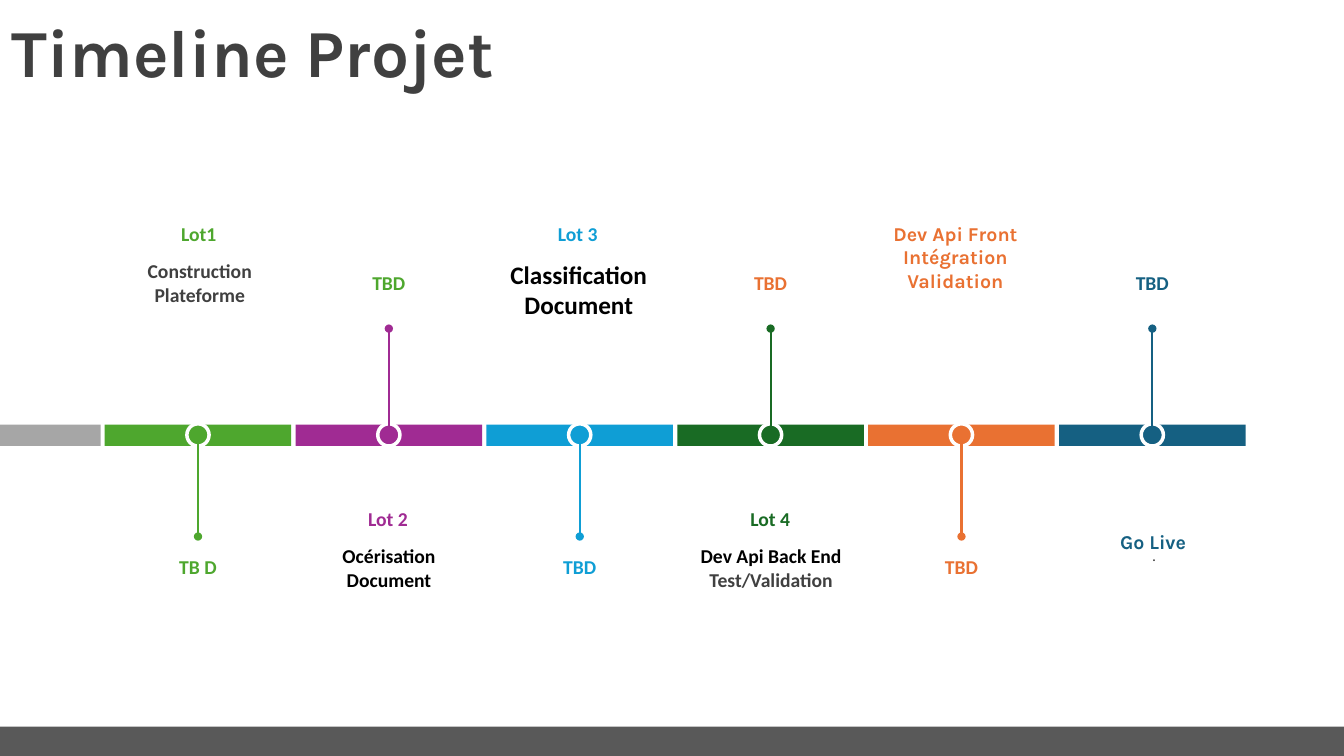
"""Build a project timeline slide with six coloured stages."""
from lxml.etree import SubElement
from pptx import Presentation
from pptx.dml.color import RGBColor
from pptx.enum.shapes import MSO_CONNECTOR, MSO_SHAPE
from pptx.enum.text import MSO_ANCHOR, PP_ALIGN
from pptx.oxml.ns import qn
from pptx.util import Cm, Pt

WHITE = RGBColor(0xFF, 0xFF, 0xFF)
BLACK = RGBColor(0, 0, 0)
DARK = RGBColor(0x40, 0x40, 0x40)
SLATE = RGBColor(0x59, 0x59, 0x59)
GREY = RGBColor(0xA6, 0xA6, 0xA6)
GREEN = RGBColor(0x4E, 0xA7, 0x2E)
PURPLE = RGBColor(0xA0, 0x2B, 0x93)
BLUE = RGBColor(0x0F, 0x9E, 0xD5)
FOREST = RGBColor(0x19, 0x6B, 0x24)
ORANGE = RGBColor(0xE9, 0x71, 0x32)
TEAL = RGBColor(0x15, 0x60, 0x82)
SANS, KARLA = "Calibri", "Karla"

TITLE = "Timeline Projet"
STAGES = [
    {"color": GREEN, "date": ("TB D", GREEN), "left": 2.62, "top": 5.46,
     "font": SANS, "head": ["Lot1"], "size": 14,
     "body": [("Construction Plateforme", DARK)]},
    {"color": PURPLE, "date": ("TBD", GREEN), "left": 7.39, "top": 12.65,
     "font": SANS, "head": ["Lot 2"], "size": 14,
     "body": [("Océrisation Document", BLACK)]},
    {"color": BLUE, "date": ("TBD", BLUE), "left": 12.17, "top": 5.46,
     "font": SANS, "head": ["Lot 3"], "size": 18,
     "body": [("Classification Document", BLACK)]},
    {"color": FOREST, "date": ("TBD", ORANGE), "left": 17.02, "top": 12.65,
     "font": SANS, "head": ["Lot 4"], "size": 14,
     "body": [("Dev Api Back End", BLACK), ("Test/Validation", DARK)]},
    {"color": ORANGE, "date": ("TBD", ORANGE), "left": 21.69, "top": 5.46,
     "font": KARLA, "head": ["Dev Api Front", "Intégration", "Validation"],
     "size": 14, "body": []},
    {"color": TEAL, "date": ("TBD", TEAL), "left": 26.67, "top": 13.23,
     "font": KARLA, "head": ["Go Live"], "size": 12, "body": [(".", DARK)]},
]

START, PITCH, WIDTH = 2.64, 4.81, 4.7
BAR_TOP, BAR_TALL = 10.7, 0.54
MID, DOT, STEM = 10.96, 0.56, 2.52
BODY_TOP = {True: 13.59, False: 6.4}

deck = Presentation()
deck.slide_width, deck.slide_height = Cm(33.87), Cm(19.05)
slide = deck.slides.add_slide(deck.slide_layouts[6])


def draw(kind, left, top, wide, tall, color, edge=None):
    shape = slide.shapes.add_shape(kind, Cm(left), Cm(top), Cm(wide), Cm(tall))
    shape.shadow.inherit = False
    shape.fill.solid()
    shape.fill.fore_color.rgb = color
    if edge is None:
        shape.line.fill.background()
    else:
        shape.line.color.rgb = edge
        shape.line.width = Pt(2.5)


def write(lines, left, top, wide, tall, font=SANS, size=14, bold=True,
          align=PP_ALIGN.CENTER):
    frame = slide.shapes.add_textbox(
        Cm(left), Cm(top), Cm(wide), Cm(tall)).text_frame
    frame.word_wrap = True
    for i, (text, color) in enumerate(lines):
        para = frame.add_paragraph() if i else frame.paragraphs[0]
        para.text = text
        para.alignment = align
        para.font.name, para.font.size = font, Pt(size)
        para.font.bold = bold
        para.font.color.rgb = color
    return frame


def stem(x, start, end, color):
    line = slide.shapes.add_connector(
        MSO_CONNECTOR.STRAIGHT, Cm(x), Cm(start), Cm(x), Cm(end))
    line.line.color.rgb = color
    line.line.width = Pt(1.5)
    SubElement(line.line._get_or_add_ln(), qn("a:tailEnd"), type="oval")
    SubElement(line._element.spPr, qn("a:effectLst"))


draw(MSO_SHAPE.RECTANGLE, 0, 18.31, 33.87, 0.74, SLATE)
title = write([(TITLE, DARK)], 0.05, 0.33, 31.45, 2.16, KARLA, 48,
              align=PP_ALIGN.LEFT)
title.vertical_anchor = MSO_ANCHOR.MIDDLE
title.paragraphs[0].line_spacing = 0.9
draw(MSO_SHAPE.RECTANGLE, 0, BAR_TOP, 2.54, BAR_TALL, GREY)

for i, stage in enumerate(STAGES):
    color, left = stage["color"], START + i * PITCH
    x, below = left + WIDTH / 2, i % 2 == 1
    draw(MSO_SHAPE.RECTANGLE, left, BAR_TOP, WIDTH, BAR_TALL, color)
    draw(MSO_SHAPE.OVAL, x - DOT / 2, MID - DOT / 2, DOT, DOT, color, WHITE)
    if below:
        stem(x, 10.8, 10.8 - STEM, color)
    else:
        stem(x, 11, 11 + STEM, color)
    write([stage["date"]], left, 6.71 if below else 13.87, WIDTH, 0.86)
    head = [(text, color) for text in stage["head"]]
    write(head, stage["left"], stage["top"], 4.78, 0.27 + 0.59 * len(head),
          stage["font"])
    if stage["body"]:
        write(stage["body"], stage["left"], BODY_TOP[below], 4.83, 1.45,
              stage["font"], stage["size"], stage["font"] == SANS)

deck.save("out.pptx")
